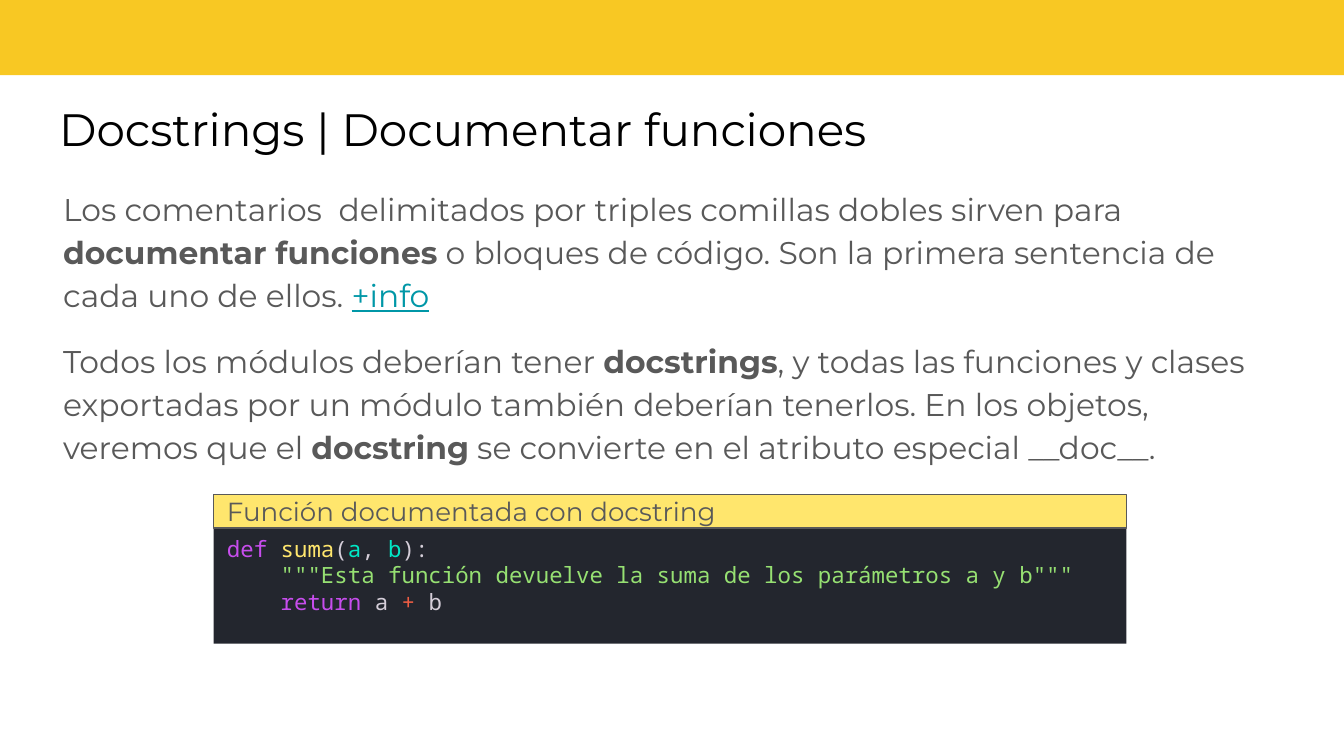
from typing import NamedTuple

from pptx import Presentation
from pptx import util as u
from pptx.dml.color import RGBColor
from pptx.enum import shapes, text

GOLD = RGBColor(0xF8, 0xC8, 0x23)
LEMON = RGBColor(0xFF, 0xE6, 0x6D)
BLACK = RGBColor(0, 0, 0)
GRAY = RGBColor(0x59, 0x59, 0x59)
TEAL = RGBColor(0x00, 0x97, 0xA7)
NAVY = RGBColor(0x23, 0x26, 0x2E)
PALE = RGBColor(0xD5, 0xCE, 0xD9)
PURPLE = RGBColor(0xC7, 0x4D, 0xED)
CYAN = RGBColor(0x00, 0xE8, 0xC6)
GREEN = RGBColor(0x96, 0xE0, 0x72)
RED = RGBColor(0xEE, 0x5D, 0x43)

SANS, MONO = "Montserrat", "Noto Sans Mono"
WIDE = 10
HIGH = WIDE * 9 / 16


class Box(NamedTuple):
    left: float
    top: float
    width: float
    height: float

    def place(self) -> list:
        return [u.Inches(n) for n in self]


class Run(NamedTuple):
    words: str
    color: RGBColor = GRAY
    bold: bool = False
    line: bool = False


class Para(NamedTuple):
    runs: list
    indent: float = 0


def write(shape, paras: list, *, font: str = SANS, size: float, pad_x: float = 0.1,
          pad_y: float = 0.05, anchor=text.MSO_ANCHOR.TOP, before: float = 0,
          spacing: float = 1.0) -> None:
    """Fill a shape with left-aligned, formatted paragraphs."""
    frame = shape.text_frame
    frame.word_wrap = True
    frame.auto_size = text.MSO_AUTO_SIZE.NONE
    frame.vertical_anchor = anchor
    frame.margin_left = frame.margin_right = u.Inches(pad_x)
    frame.margin_top = frame.margin_bottom = u.Inches(pad_y)
    for i, para in enumerate(paras):
        p = frame.add_paragraph() if i else frame.paragraphs[0]
        p.alignment = text.PP_ALIGN.LEFT
        p.space_before, p.line_spacing = u.Pt(before), spacing
        if para.indent:
            p._p.get_or_add_pPr().set("marL", str(u.Inches(para.indent)))
        for run in para.runs:
            r = p.add_run()
            r.text = run.words
            r.font.name, r.font.size = font, u.Pt(size)
            r.font.bold, r.font.underline = run.bold, run.line
            r.font.color.rgb = run.color


def draw(slide, box: Box, fill: RGBColor, edge=None):
    """Add a plain rectangle, outlined only if an edge colour is given."""
    shape = slide.shapes.add_shape(shapes.MSO_SHAPE.RECTANGLE, *box.place())
    shape.shadow.inherit = False
    shape.fill.solid()
    shape.fill.fore_color.rgb = fill
    if edge is None:
        shape.line.fill.background()
    else:
        shape.line.color.rgb = edge
        shape.line.width = u.Pt(0.75)
    return shape


BODY = [
    Para([Run("Los comentarios  delimitados por triples comillas dobles sirven para "),
          Run("documentar funciones", bold=True),
          Run(" o bloques de código. Son la primera sentencia de cada uno de ellos. "),
          Run("+info", TEAL, line=True)]),
    Para([Run("Todos los módulos deberían tener "),
          Run("docstrings", bold=True),
          Run(", y todas las funciones y clases exportadas por un módulo también "
              "deberían tenerlos. En los objetos, veremos que el "),
          Run("docstring", bold=True),
          Run(" se convierte en el atributo especial __doc__.")]),
]

TAB = 0.4  # four monospaced characters
CODE = [
    Para([Run("def ", PURPLE), Run("suma", LEMON), Run("(", PALE), Run("a", CYAN),
          Run(", ", PALE), Run("b", CYAN), Run("):", PALE)]),
    Para([Run('"""Esta función devuelve la suma de los parámetros a y b"""', GREEN)], TAB),
    Para([Run("return", PURPLE), Run(" a ", PALE), Run("+", RED), Run(" b", PALE)], TAB),
]


def main() -> None:
    deck = Presentation()
    deck.slide_width, deck.slide_height = u.Inches(WIDE), u.Inches(HIGH)
    slide = deck.slides.add_slide(deck.slide_layouts[5])

    # Top band
    draw(slide, Box(0, 0, WIDE, 0.56), GOLD)

    # Title
    title = slide.shapes.title
    title.left, title.top, title.width, title.height = Box(0.34, 0.65, 9.3, 0.63).place()
    write(title, [Para([Run("Docstrings | Documentar funciones", BLACK)])],
          size=24.3, pad_y=0.1)

    # Explanation
    body = slide.shapes.add_textbox(*Box(0.47, 1.27, 9.05, 3.58).place())
    write(body, BODY, size=16.8, pad_x=0, pad_y=0.1, before=12, spacing=1.15)

    # Code sample under its caption
    left, top, width, head = 1.59, 3.68, 6.79, 0.25
    code = draw(slide, Box(left, top + head, width, 0.86), NAVY)
    write(code, CODE, font=MONO, size=12)
    label = draw(slide, Box(left, top, width, head), LEMON, GRAY)
    write(label, [Para([Run("Función documentada con docstring")])], size=14,
          anchor=text.MSO_ANCHOR.MIDDLE)

    deck.save("out.pptx")


if __name__ == "__main__":
    main()
